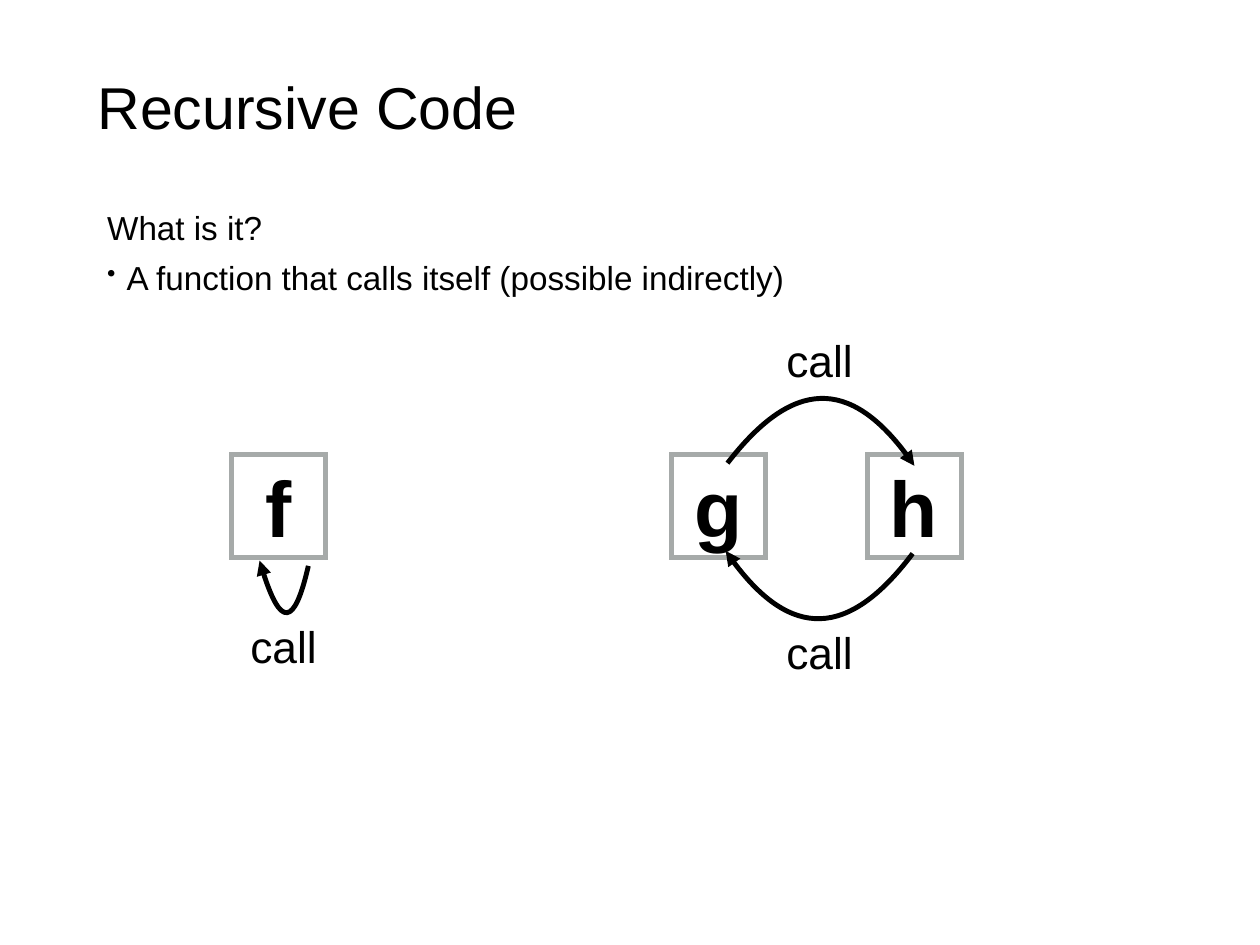
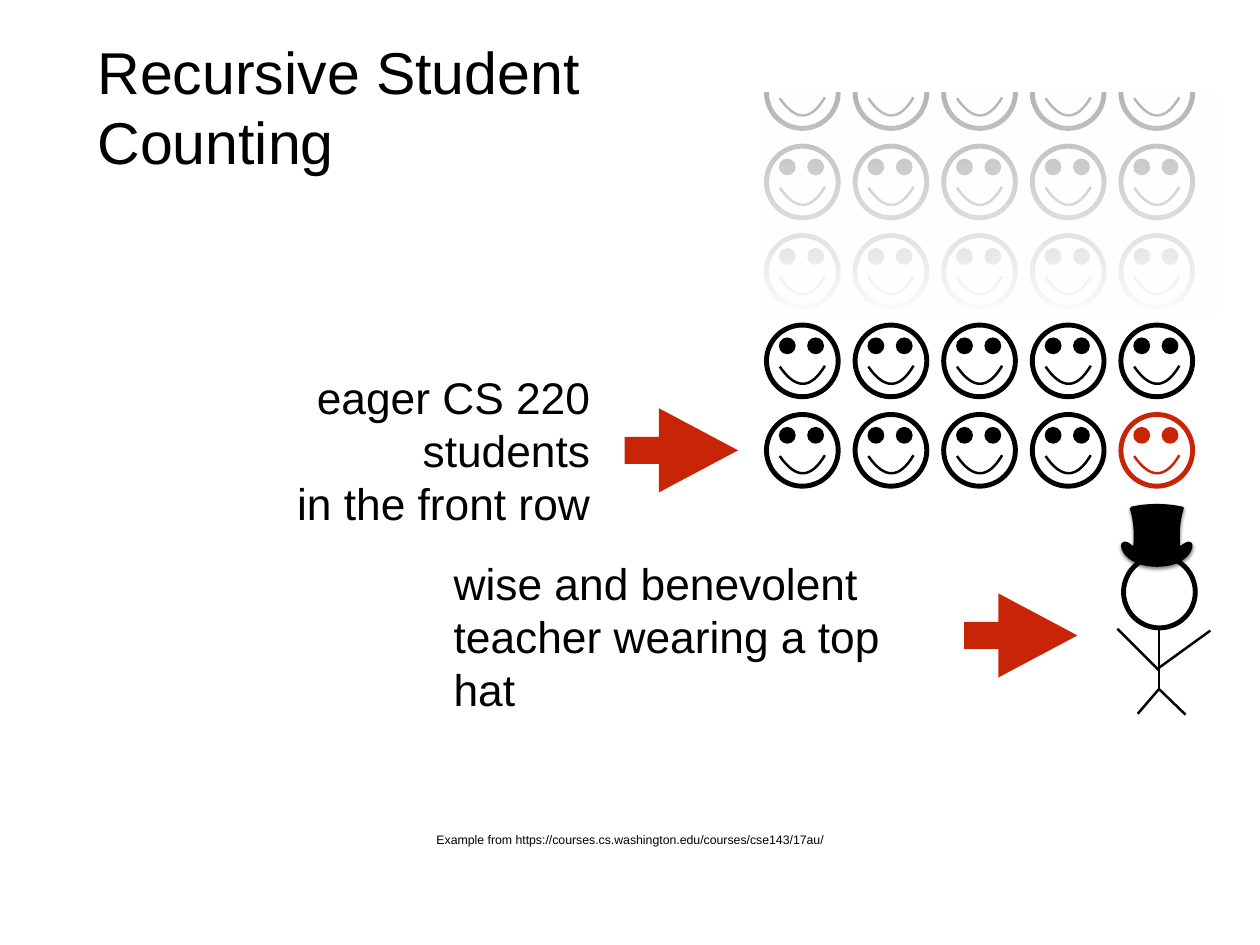
"""Build two slides that introduce recursion."""
from dataclasses import dataclass
from typing import Any

from lxml.etree import SubElement
from pptx import Presentation
from pptx.dml.color import RGBColor
from pptx.enum.shapes import MSO_CONNECTOR, MSO_SHAPE
from pptx.enum.text import MSO_ANCHOR, PP_ALIGN
from pptx.oxml.ns import qn
from pptx.util import Pt

PX = 9144
FONT = "Arial"
BLACK = RGBColor(0x00, 0x00, 0x00)
WHITE = RGBColor(0xFF, 0xFF, 0xFF)
GRAY = RGBColor(0xA6, 0xAA, 0xA9)
RED = RGBColor(0xC8, 0x25, 0x06)

Point = tuple[int, int]
Curve = tuple[Point, Point, Point]


@dataclass(frozen=True)
class Area:
    left: int
    top: int
    width: int
    height: int

    def emu(self) -> list[int]:
        return [side * PX for side in (self.left, self.top, self.width, self.height)]


@dataclass(frozen=True)
class Label:
    area: Area
    lines: tuple[str, ...]
    size: int
    align: PP_ALIGN = PP_ALIGN.CENTER
    bold: bool = False
    wrap: bool = False


@dataclass(frozen=True)
class CallArrow:
    start: Point
    curve: Curve


TITLE_AREA = Area(104, 49, 1214, 141)
FUNCTIONS = (Area(261, 513, 106, 117), Area(758, 513, 106, 117), Area(979, 513, 106, 117))
LETTERS = (
    Label(Area(293, 512, 42, 118), ("f",), 64, bold=True),
    Label(Area(778, 512, 67, 118), ("g",), 64, bold=True),
    Label(Area(998, 512, 67, 118), ("h",), 64, bold=True),
)
CALL_ARROWS = (
    CallArrow((821, 523), ((895, 427), (965, 427), (1032, 526))),
    CallArrow((1030, 625), ((957, 722), (886, 721), (819, 622))),
    CallArrow((348, 639), ((332, 709), (314, 707), (293, 633))),
)
CALL_CORNERS = ((880, 371), (880, 700), (275, 694))

FACE_SIZE = 81
FACE_LEFT = 865
FACE_COLUMNS = 5
COLUMN_STEP = 100
ROW_STEP = 101
FRONT_ROW = 468
ROW_COUNT = 5
EYE_SIZE = 19
LIMBS = (
    ((1308, 779), (1308, 710)),
    ((1308, 757), (1261, 710)),
    ((1366, 712), (1308, 754)),
    ((1338, 807), (1308, 778)),
    ((1284, 806), (1308, 778)),
)
POINTERS = (Area(705, 461, 128, 95), Area(1088, 670, 128, 95))
CAPTIONS = (
    Label(Area(483, 934, 456, 28),
          ("Example from https://courses.cs.washington.edu/courses/cse143/17au/",), 10),
    Label(Area(161, 442, 511, 132), ("eager CS 220 students", "in the front row"), 36,
          PP_ALIGN.RIGHT, wrap=True),
    Label(Area(506, 652, 563, 132), ("wise and benevolent", "teacher wearing a top hat"), 36,
          PP_ALIGN.LEFT, wrap=True),
)
HAT_START = (1306, 569)
HAT_CURVES = (
    ((1295, 569), (1286, 570), (1277, 572)),
    ((1276, 572), (1275, 573), (1275, 574)),
    ((1280, 589), (1280, 606), (1279, 616)),
    ((1279, 616), (1279, 616), (1278, 616)),
    ((1276, 614), (1270, 609), (1266, 613)),
    ((1262, 618), (1271, 640), (1306, 640)),
    ((1340, 640), (1349, 618), (1345, 613)),
    ((1342, 609), (1335, 614), (1333, 616)),
    ((1333, 616), (1332, 616), (1332, 616)),
    ((1331, 606), (1331, 589), (1336, 574)),
    ((1336, 573), (1336, 572), (1334, 572)),
    ((1325, 570), (1316, 569), (1306, 569)),
)


def paint(shape: Any, fill: RGBColor | None = None, line: RGBColor | None = None,
          weight: int = 4) -> None:
    shape.shadow.inherit = False
    if fill is None:
        shape.fill.background()
    else:
        shape.fill.solid()
        shape.fill.fore_color.rgb = fill
    if line is None:
        shape.line.fill.background()
    else:
        shape.line.color.rgb = line
        shape.line.width = Pt(weight)
        SubElement(shape.line._get_or_add_ln(), qn("a:miter"), lim="400000")


def add_span(para: Any, text: str, size: int, bold: bool = False) -> None:
    span = para.add_run()
    span.text = text
    span.font.name = FONT
    span.font.size = Pt(size)
    span.font.bold = bold
    span.font.color.rgb = BLACK


def add_frame(page: Any, area: Area, anchor: MSO_ANCHOR, wrap: bool) -> Any:
    frame = page.shapes.add_textbox(*area.emu()).text_frame
    frame.margin_left = frame.margin_right = frame.margin_top = frame.margin_bottom = 6 * PX
    frame.vertical_anchor = anchor
    frame.word_wrap = wrap
    return frame


def add_label(page: Any, label: Label) -> None:
    frame = add_frame(page, label.area, MSO_ANCHOR.MIDDLE, label.wrap)
    for index, line in enumerate(label.lines):
        para = frame.add_paragraph() if index else frame.paragraphs[0]
        para.alignment = label.align
        add_span(para, line, label.size, label.bold)


def add_title(page: Any, *lines: str) -> None:
    para = add_frame(page, TITLE_AREA, MSO_ANCHOR.MIDDLE, True).paragraphs[0]
    for index, line in enumerate(lines):
        if index:
            para.add_line_break()
        add_span(para, line, 48)


def add_body(page: Any) -> None:
    frame = add_frame(page, Area(104, 228, 1304, 152), MSO_ANCHOR.TOP, True)
    question, answer = frame.paragraphs[0], frame.add_paragraph()
    answer.space_before = Pt(8)
    for para in (question, answer):
        properties = para._p.get_or_add_pPr()
        properties.set("marL", str(33 * PX))
        properties.set("indent", str(-22 * PX))
    SubElement(properties, qn("a:buSzPct"), val="75000")
    SubElement(properties, qn("a:buChar"), char="•")
    add_span(question, "What is it?", 27)
    add_span(answer, "A function that calls itself (possible indirectly)", 27)


def curve_points(start: Point, curve: Curve) -> list[tuple[float, float]]:
    steps = 20
    points = []
    for step in range(1, steps + 1):
        t = step / steps
        weights = ((1 - t) ** 3, 3 * t * (1 - t) ** 2, 3 * t * t * (1 - t), t ** 3)
        corners = (start, *curve)
        points.append(tuple(PX * sum(weight * corner[axis]
                                     for weight, corner in zip(weights, corners))
                            for axis in (0, 1)))
    return points


def add_curves(shapes: Any, start: Point, curves: tuple[Curve, ...], closed: bool = False) -> Any:
    """Size the outline by sampling, then draw it with true Bézier segments."""
    builder = shapes.build_freeform(start[0] * PX, start[1] * PX)
    origin = start
    for curve in curves:
        builder.add_line_segments(curve_points(origin, curve), close=False)
        origin = curve[-1]
    shape = builder.convert_to_shape()
    outline = shape._element.find(".//" + qn("a:path"))
    for child in list(outline):
        outline.remove(child)
    segments = [("a:moveTo", (start,))] + [("a:cubicBezTo", curve) for curve in curves]
    for tag, points in segments:
        segment = SubElement(outline, qn(tag))
        for x, y in points:
            SubElement(segment, qn("a:pt"), x=str(x * PX - shape.left), y=str(y * PX - shape.top))
    if closed:
        SubElement(outline, qn("a:close"))
    return shape


def add_call_arrow(page: Any, arrow: CallArrow) -> None:
    shape = add_curves(page.shapes, arrow.start, (arrow.curve,))
    paint(shape, line=BLACK)
    SubElement(shape.line._get_or_add_ln(), qn("a:tailEnd"), type="triangle")


def add_circle(shapes: Any, left: int, top: int, size: int, **colours: RGBColor) -> None:
    paint(shapes.add_shape(MSO_SHAPE.OVAL, *Area(left, top, size, size).emu()), **colours)


def add_face(shapes: Any, left: int, top: int, colour: RGBColor, eyes: bool) -> None:
    add_circle(shapes, left, top, FACE_SIZE, line=colour)
    if eyes:
        for offset in (14, 46):
            add_circle(shapes, left + offset, top + 14, EYE_SIZE, fill=colour)
    start, *rest = [(left + x, top + y) for x, y in ((66, 46), (50, 73), (33, 73), (15, 47))]
    paint(add_curves(shapes, start, (tuple(rest),)), line=colour, weight=2)


def add_students(page: Any) -> None:
    for row in range(ROW_COUNT):
        group = page.shapes.add_group_shape()
        for column in range(FACE_COLUMNS):
            marked = row == 0 and column == FACE_COLUMNS - 1
            add_face(group.shapes, FACE_LEFT + column * COLUMN_STEP, FRONT_ROW - row * ROW_STEP,
                     RED if marked else BLACK, eyes=row < ROW_COUNT - 1)


def add_teacher(page: Any) -> None:
    group = page.shapes.add_group_shape()
    add_circle(group.shapes, 1268, 628, FACE_SIZE, line=BLACK)
    for start, end in LIMBS:
        limb = group.shapes.add_connector(
            MSO_CONNECTOR.STRAIGHT, *[value * PX for value in (*start, *end)])
        limb.line.color.rgb = BLACK
        limb.line.width = Pt(2)
        SubElement(limb._element.spPr, qn("a:effectLst"))


def add_fade(page: Any) -> None:
    veil = page.shapes.add_shape(MSO_SHAPE.RECTANGLE, *Area(858, 97, 517, 261).emu())
    paint(veil)
    veil.fill.gradient()
    veil.fill.gradient_angle = 270
    for position, stop in enumerate(veil.fill.gradient_stops):
        stop.position = position
        stop.color.rgb = WHITE
    first_colour = veil._element.find(".//" + qn("a:gs")).find(qn("a:srgbClr"))
    SubElement(first_colour, qn("a:alpha"), val="70000")
    cover = page.shapes.add_shape(MSO_SHAPE.RECTANGLE, *Area(833, 5, 544, 99).emu())
    paint(cover, fill=WHITE)


def add_hat(page: Any) -> None:
    hat = add_curves(page.shapes, HAT_START, HAT_CURVES, closed=True)
    paint(hat, fill=BLACK)
    effects = hat._element.spPr.find(qn("a:effectLst"))
    shadow = SubElement(effects, qn("a:outerShdw"), blurRad=str(Pt(3)), dist=str(Pt(2)),
                        dir="5400000", rotWithShape="0")
    colour = SubElement(shadow, qn("a:srgbClr"), val=str(BLACK))
    SubElement(colour, qn("a:alpha"), val="50000")


def build_code_page(page: Any) -> None:
    for area in FUNCTIONS:
        paint(page.shapes.add_shape(MSO_SHAPE.RECTANGLE, *area.emu()), line=GRAY)
    add_title(page, "Recursive Code")
    add_body(page)
    for letter in LETTERS:
        add_label(page, letter)
    for arrow in CALL_ARROWS:
        add_call_arrow(page, arrow)
    for left, top in CALL_CORNERS:
        add_label(page, Label(Area(left, top, 90, 71), ("call",), 36))


def build_counting_page(page: Any) -> None:
    add_title(page, "Recursive Student", "Counting")
    add_students(page)
    add_teacher(page)
    add_fade(page)
    for caption in CAPTIONS:
        add_label(page, caption)
    for area in POINTERS:
        pointer = page.shapes.add_shape(MSO_SHAPE.RIGHT_ARROW, *area.emu())
        pointer.adjustments[0], pointer.adjustments[1] = 0.32, 0.94
        paint(pointer, fill=RED)
    add_hat(page)


def main() -> None:
    deck = Presentation()
    deck.slide_width, deck.slide_height = 1422 * PX, 1067 * PX
    for build in (build_code_page, build_counting_page):
        build(deck.slides.add_slide(deck.slide_layouts[6]))
    deck.save("out.pptx")


if __name__ == "__main__":
    main()
